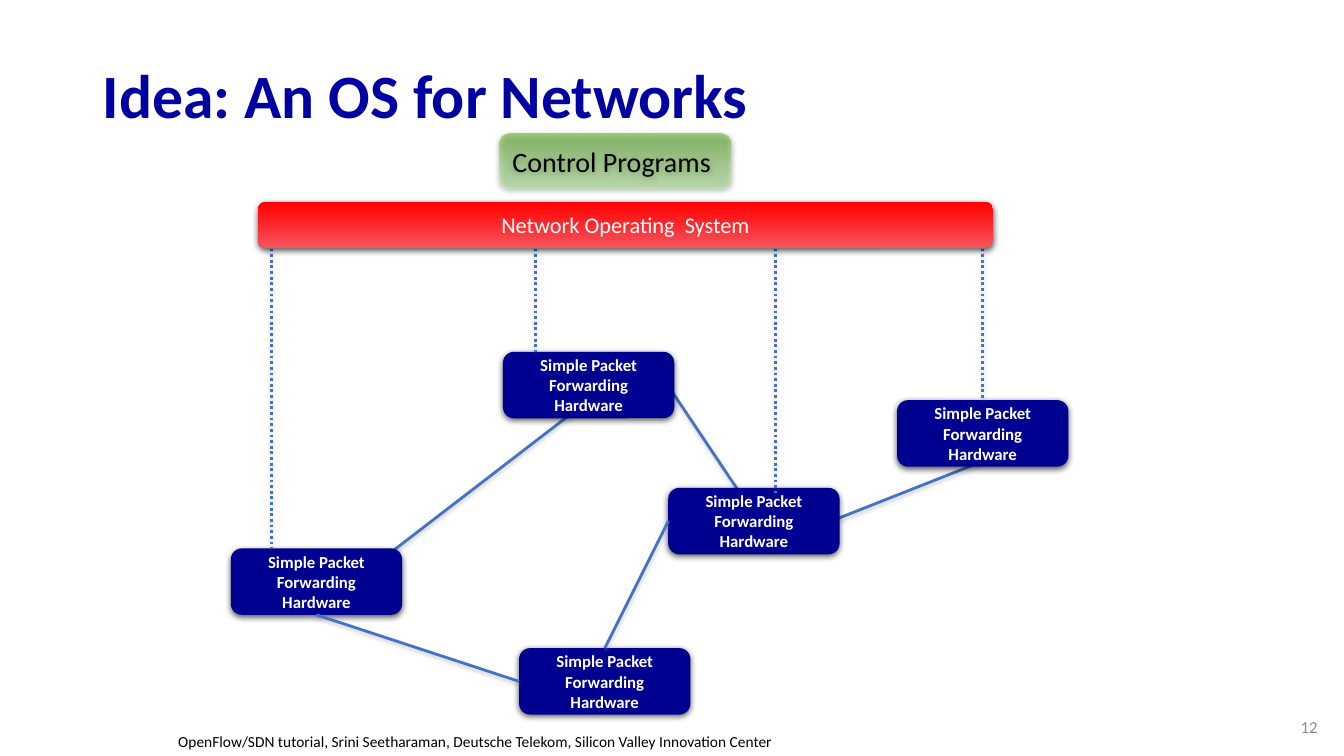
from lxml import etree
from pptx import Presentation
from pptx.dml.color import RGBColor
from pptx.enum.dml import MSO_LINE
from pptx.enum.shapes import MSO_CONNECTOR, MSO_SHAPE
from pptx.enum.text import MSO_ANCHOR, MSO_AUTO_SIZE, PP_ALIGN
from pptx.oxml.ns import qn
from pptx.util import Inches, Pt

CELL = Inches(1) // 3
COLS, ROWS = 40, 22.5
FONT = "Calibri"
TITLE_BLUE = RGBColor(0x00, 0x00, 0xA3)
NAVY = RGBColor(0x00, 0x00, 0x90)
LINK_BLUE = RGBColor(0x44, 0x72, 0xC4)
RED = RGBColor(0xFF, 0x00, 0x00)
CORAL = RGBColor(0xF7, 0x54, 0x5C)
GREEN = RGBColor(0x6D, 0xBC, 0x38)
MINT = RGBColor(0xBB, 0xFC, 0xA0)
GREY = RGBColor(0x8C, 0x8C, 0x8C)
SHADOW_GREY = RGBColor(0x80, 0x80, 0x80)
BLACK = RGBColor(0x00, 0x00, 0x00)
WHITE = RGBColor(0xFF, 0xFF, 0xFF)
LEFT, CENTER, RIGHT = PP_ALIGN.LEFT, PP_ALIGN.CENTER, PP_ALIGN.RIGHT
TOP, MIDDLE = MSO_ANCHOR.TOP, MSO_ANCHOR.MIDDLE
FIXED, GROW = MSO_AUTO_SIZE.NONE, MSO_AUTO_SIZE.SHAPE_TO_FIT_TEXT
ROUNDED, STRAIGHT = MSO_SHAPE.ROUNDED_RECTANGLE, MSO_CONNECTOR.STRAIGHT
DOTTED = MSO_LINE.ROUND_DOT
SIDE_TOP, SIDE_LEFT, SIDE_BOTTOM = 0, 1, 2

NODE_SIZE = (5.1, 1.98)
NODES = {
    "west": (6.87, 16.32),
    "centre": (19.89, 14.52),
    "south": (15.45, 19.29),
    "north": (14.97, 10.47),
    "east": (26.7, 11.91),
}
LOOSE_LINKS = [
    (11.52, 16.53, 16.98, 12.33),
    (19.47, 10.86, 22.02, 14.67),
    (24.51, 15.6, 29.22, 13.74),
]
JOINED_LINKS = [
    ("south", SIDE_TOP, "centre", SIDE_LEFT),
    ("west", SIDE_BOTTOM, "south", SIDE_LEFT),
]
DROP_TOP = 7.23
DROPS = [(8.07, 16.32), (15.93, 10.47), (23.07, 14.67)]


def cells(*values):
    """Turn grid columns and rows into slide lengths."""
    return [round(v * CELL) for v in values]


class Board:
    """Hold the style and the current slide, and draw on its grid."""

    def __init__(self, prs):
        """Add a title-only slide."""
        self.slide = prs.slides.add_slide(prs.slide_layouts[5])
        self.shapes = self.slide.shapes

    def set_text(self, sp, text, size, color, align=LEFT, anchor=MIDDLE,
                 bold=False, fit=FIXED):
        """Put one formatted paragraph into a shape."""
        tf = sp.text_frame
        tf.text = text
        tf.word_wrap = True
        tf.auto_size = fit
        tf.vertical_anchor = anchor
        p = tf.paragraphs[0]
        p.alignment = align
        font = p.runs[0].font
        font.name, font.size, font.bold = FONT, Pt(size), bold
        font.color.rgb = color
        return p

    def shadow(self, sp, color, alpha, blur, dist):
        """Give a shape or connector a soft shadow below it."""
        effects = etree.SubElement(sp._element.spPr, qn("a:effectLst"))
        outer = etree.SubElement(
            effects, qn("a:outerShdw"), blurRad=str(Pt(blur)),
            dist=str(Pt(dist)), dir="5400000", rotWithShape="0")
        clr = etree.SubElement(outer, qn("a:srgbClr"), val=str(color))
        etree.SubElement(clr, qn("a:alpha"), val=str(alpha * 1000))

    def title(self, text, box):
        """Fill and place the title placeholder."""
        sp = self.shapes.title
        sp.left, sp.top, sp.width, sp.height = cells(*box)
        self.set_text(sp, text, 44, TITLE_BLUE, bold=True).line_spacing = 0.9

    def label(self, text, box, size, color, **style):
        """Add a plain text box."""
        sp = self.shapes.add_textbox(*cells(*box))
        self.set_text(sp, text, size, color, **style)

    def block(self, text, box, colors, size, color, alphas=(), **style):
        """Add a rounded block with a solid or a downward gradient fill."""
        sp = self.shapes.add_shape(ROUNDED, *cells(*box))
        if len(colors) == 1:
            sp.fill.solid()
            sp.fill.fore_color.rgb = colors[0]
        else:
            sp.fill.gradient()
            sp.fill.gradient_angle = 270
            for stop, stop_color in zip(sp.fill.gradient_stops, colors):
                stop.color.rgb = stop_color
        fills = sp._element.spPr.iter(qn("a:srgbClr"))
        for clr, alpha in zip(list(fills), alphas):
            etree.SubElement(clr, qn("a:alpha"), val=str(alpha * 1000))
        sp.line.fill.background()
        self.shadow(sp, BLACK, 63, 4.5, 1.5)
        self.set_text(sp, text, size, color, **style)
        return sp

    def link(self, ends=(0, 0, 0, 0), dash=None, begin=None, end=None):
        """Add a line, joined to a (shape, side) pair where one is given."""
        line = self.shapes.add_connector(STRAIGHT, *cells(*ends))
        line.line.color.rgb = LINK_BLUE
        line.line.width = Pt(2)
        if dash:
            line.line.dash_style = dash
        self.shadow(line, SHADOW_GREY, 38, 3.1, 1.6)
        if begin:
            line.begin_connect(*begin)
        if end:
            line.end_connect(*end)


def main():
    """Build the slide and save it."""
    prs = Presentation()
    prs.slide_width, prs.slide_height = cells(COLS, ROWS)
    board = Board(prs)
    board.title("Idea: An OS for Networks", (2.76, 1.47, 34.5, 2.94))

    for ends in LOOSE_LINKS:
        board.link(ends)
    nodes = {
        name: board.block("Simple Packet Forwarding Hardware", spot + NODE_SIZE,
                          [NAVY], 12, WHITE, align=CENTER, bold=True)
        for name, spot in NODES.items()
    }
    for start, start_side, stop, stop_side in JOINED_LINKS:
        board.link(begin=(nodes[start], start_side), end=(nodes[stop], stop_side))
    for x, bottom in DROPS:
        board.link((x, DROP_TOP, x, bottom), DOTTED)
    east_x = NODES["east"][0] + NODE_SIZE[0] / 2
    board.link((east_x, DROP_TOP, east_x, NODES["east"][1]), DOTTED,
               end=(nodes["east"], SIDE_TOP))

    board.block("Network Operating  System", (7.68, 6, 21.87, 1.38),
                [RED, CORAL], 16, WHITE, align=CENTER)
    board.block("Control Programs", (14.88, 3.99, 6.87, 1.62),
                [GREEN, MINT], 20, BLACK, alphas=(60, 45))
    board.label("OpenFlow/SDN tutorial, Srini Seetharaman, Deutsche Telekom, "
                "Silicon Valley Innovation Center",
                (5.01, 21.63, 23.01, 0.87), 11, BLACK, anchor=TOP, fit=GROW)
    board.label("12", (32.52, 21.03, 6.99, 1.2), 12, GREY, align=RIGHT)
    prs.save("out.pptx")


if __name__ == "__main__":
    main()
